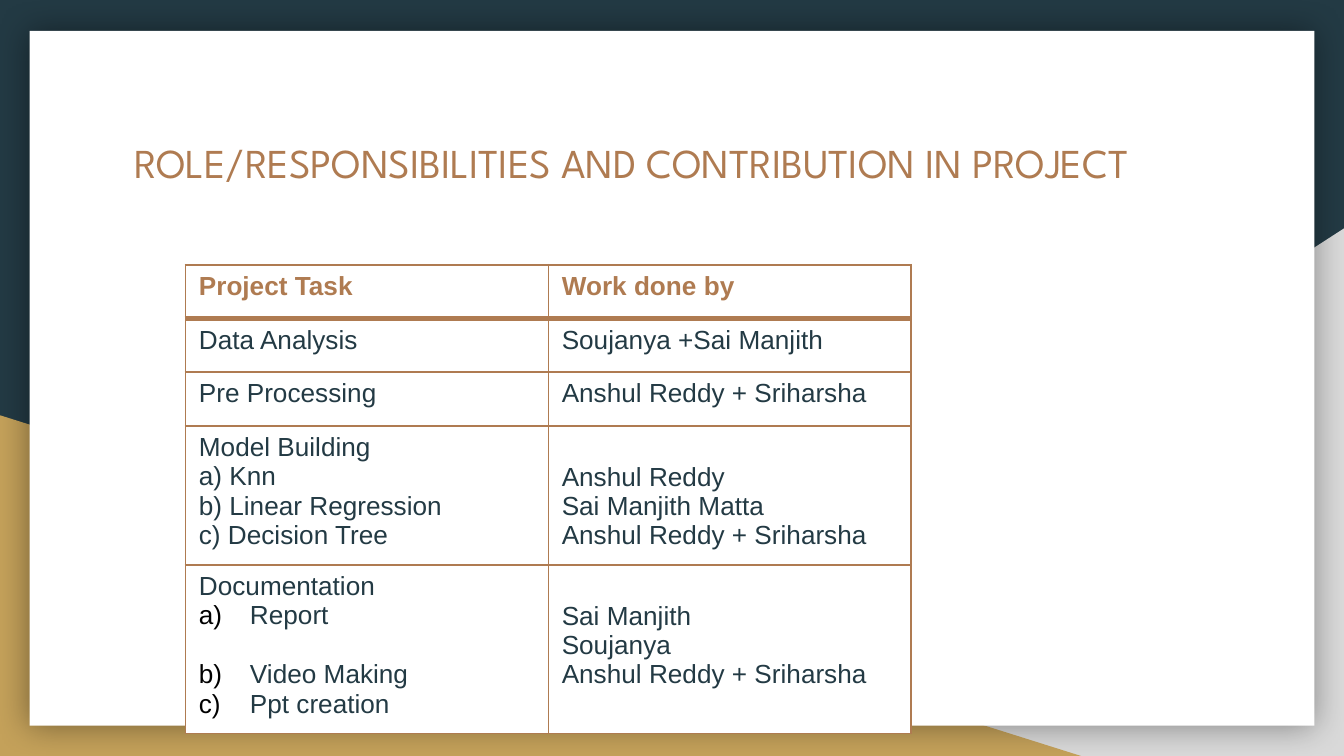
from lxml import etree
from pptx import Presentation
from pptx.dml.color import RGBColor
from pptx.enum import shapes, text
from pptx.oxml import ns
from pptx.util import Inches, Pt

NAVY, GREY, GOLD = "233A44", "D9D9D9", "C4A15A"
BROWN, WHITE, BLACK = "AF7B51", "FFFFFF", "000000"

HEADER = ("Project Task", "Work done by")
# Row height, task lines, people lines
ROWS = [
    (0.4, ["Data Analysis"], ["Soujanya +Sai Manjith"]),
    (0.4, ["Pre Processing"], ["Anshul Reddy + Sriharsha"]),
    (1.01, ["Model Building", "a) Knn", "b) Linear Regression", "c) Decision Tree"],
     ["Anshul Reddy", "Sai Manjith Matta", "Anshul Reddy + Sriharsha"]),
    (1.19, ["Documentation", "Report", "Video Making", "Ppt creation"],
     ["Sai Manjith", "Soujanya", "Anshul Reddy + Sriharsha"]),
]
LINE_HEIGHT = 0.22


def color(value):
    return RGBColor.from_string(value)


def add_element(parent, tag, **attributes):
    element = etree.SubElement(parent, ns.qn(tag))
    for name, value in attributes.items():
        element.set(name, str(value))
    return element


def add_panel(slide, kind, left, top, width, height, fill):
    shape = slide.shapes.add_shape(
        kind, Inches(left), Inches(top), Inches(width), Inches(height))
    shape.shadow.inherit = False
    shape.fill.solid()
    shape.fill.fore_color.rgb = color(fill)
    shape.line.fill.background()
    return shape


def add_glow(shape):
    effects = shape.element.spPr.find(ns.qn("a:effectLst"))
    shadow = add_element(effects, "a:outerShdw", blurRad=Pt(18), dist=0, dir=0,
                         algn="ctr", rotWithShape=0)
    add_element(add_element(shadow, "a:srgbClr", val=BLACK), "a:alpha", val=40000)


def add_run(paragraph, words, size, font, fill, bold=False):
    run = paragraph.add_run()
    run.text = words
    run.font.size = Pt(size)
    run.font.name = font
    run.font.bold = bold
    run.font.color.rgb = color(fill)


def add_title(slide, words):
    box = slide.shapes.add_textbox(Inches(0.9), Inches(0.92), Inches(8.21), Inches(1.04))
    frame = box.text_frame
    frame.word_wrap = True
    frame.vertical_anchor = text.MSO_ANCHOR.TOP
    frame.margin_left = frame.margin_right = Inches(0.1)
    frame.margin_top = frame.margin_bottom = Inches(0.1)
    add_run(frame.paragraphs[0], words, 22, "League Spartan", BROWN)


def style_cell(cell, top, bottom):
    # Borders come before the fill in the cell properties
    properties = cell._tc.get_or_add_tcPr()
    for side, width in (("L", 1), ("R", 1), ("T", top), ("B", bottom)):
        line = add_element(properties, f"a:ln{side}", w=Pt(width))
        add_element(add_element(line, "a:solidFill"), "a:srgbClr", val=BROWN)
    cell.fill.solid()
    cell.fill.fore_color.rgb = color(WHITE)
    cell.margin_left = cell.margin_right = Inches(0.1)
    cell.margin_top = cell.margin_bottom = Inches(0.05)


def write_cell(cell, lines, fill=NAVY, bold=False):
    frame = cell.text_frame
    for index, line in enumerate(lines):
        paragraph = frame.paragraphs[0] if index == 0 else frame.add_paragraph()
        add_run(paragraph, line, 14, "Arial", fill, bold)


def letter_paragraph(paragraph):
    properties = paragraph._p.get_or_add_pPr()
    properties.set("marL", str(Inches(0.38)))
    properties.set("indent", str(-Inches(0.38)))
    add_element(add_element(properties, "a:buClr"), "a:srgbClr", val=BLACK)
    add_element(properties, "a:buAutoNum", type="alphaLcParenR")


def add_task_table(slide):
    heights = [0.4] + [height for height, _, _ in ROWS]
    table = slide.shapes.add_table(
        len(heights), 2, Inches(1.38), Inches(1.97),
        Inches(5.4), Inches(sum(heights))).table
    for column in table.columns:
        column.width = Inches(2.7)
    for index, height in enumerate(heights):
        table.rows[index].height = Inches(height)
        for cell in table.rows[index].cells:
            style_cell(cell, top=3 if index == 1 else 1, bottom=3 if index == 0 else 1)

    for cell, heading in zip(table.rows[0].cells, HEADER):
        write_cell(cell, [heading], BROWN, bold=True)
    for index, (_, tasks, people) in enumerate(ROWS, start=1):
        task_cell, people_cell = table.rows[index].cells
        write_cell(task_cell, tasks)
        write_cell(people_cell, people)
        # Names start beside the first subtask, below the group heading
        if len(tasks) > 1:
            people_cell.margin_top = Inches(0.05 + LINE_HEIGHT)

    # Lettered documentation tasks, with a gap after the report
    documentation = table.cell(len(ROWS), 0).text_frame.paragraphs[1:]
    documentation[0].space_after = Inches(LINE_HEIGHT)
    for paragraph in documentation:
        letter_paragraph(paragraph)


def main():
    presentation = Presentation()
    presentation.slide_width = Inches(10)
    presentation.slide_height = Inches(5.625)
    slide = presentation.slides.add_slide(presentation.slide_layouts[6])

    # Background and framed page
    slide.background.fill.solid()
    slide.background.fill.fore_color.rgb = color(NAVY)
    triangle = shapes.MSO_SHAPE.RIGHT_TRIANGLE
    right_corner = add_panel(slide, triangle, 3.92, 1.7, 6.08, 3.93, GREY)
    right_corner.element.spPr.xfrm.set("flipH", "1")
    add_panel(slide, triangle, 0, 3.09, 8.06, 2.54, GOLD)
    page = add_panel(slide, shapes.MSO_SHAPE.RECTANGLE, 0.22, 0.23, 9.56, 5.17, WHITE)
    add_glow(page)

    # Content
    add_title(slide, "ROLE/RESPONSIBILITIES AND CONTRIBUTION IN PROJECT")
    add_task_table(slide)

    presentation.save("out.pptx")


if __name__ == "__main__":
    main()
